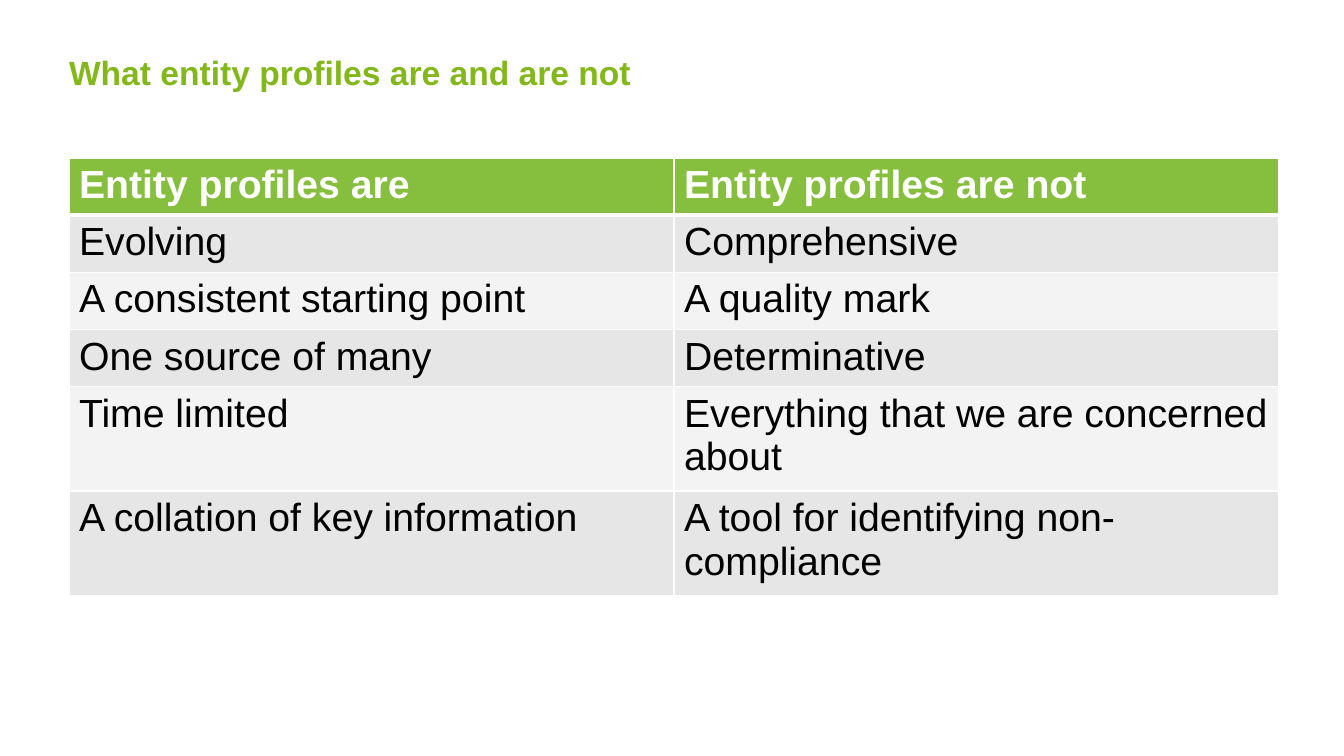
from pptx import Presentation
from pptx import util as u
from pptx.dml.color import RGBColor
from pptx.enum import text
from pptx.oxml import parse_xml
from pptx.oxml.ns import nsdecls

PX_PER_INCH = 100.8
WHITE, BLACK = "FFFFFF", "000000"
TITLE_GREEN, HEADER_GREEN = "83B81A", "86BE3D"
BANDS = ("E6E6E7", "F3F3F3")

ROWS = [
    ("Entity profiles are", "Entity profiles are not"),
    ("Evolving", "Comprehensive"),
    ("A consistent starting point", "A quality mark"),
    ("One source of many", "Determinative"),
    ("Time limited", "Everything that we are concerned about"),
    ("A collation of key information", "A tool for identifying non-compliance"),
]


def px(n):
    return u.Emu(round(n * 914400 / PX_PER_INCH))


def rgb(value):
    return RGBColor.from_string(value)


def write(tf, words, size, color, bold):
    r = tf.paragraphs[0].add_run()
    r.text = words
    for name, value in {"name": "Arial", "size": u.Pt(size), "bold": bold}.items():
        setattr(r.font, name, value)
    r.font.color.rgb = rgb(color)


def add_title(s, words, left, top, width, height):
    tf = s.shapes.add_textbox(*map(px, (left, top, width, height))).text_frame
    layout = {"word_wrap": True, "vertical_anchor": text.MSO_ANCHOR.TOP,
              "margin_left": 0, "margin_right": 0,
              "margin_top": px(8), "margin_bottom": px(4)}
    for name, value in layout.items():
        setattr(tf, name, value)
    write(tf, words, 24, TITLE_GREEN, True)


def set_borders(cell, widths):
    # Border lines come before the fill in the cell properties
    tcPr = cell._tc.get_or_add_tcPr()
    for i, (side, points) in enumerate(widths.items()):
        tcPr.insert(i, parse_xml(
            f'<a:ln{side} {nsdecls("a")} w="{u.Pt(points)}"><a:solidFill>'
            f'<a:srgbClr val="{WHITE}"/></a:solidFill></a:ln{side}>'))


def add_banded_table(s, rows, left, top, width, row_height):
    count, cols = len(rows), len(rows[0])
    table = s.shapes.add_table(count, cols, px(left), px(top), px(width),
                               px(row_height * count)).table
    for i, row in enumerate(rows):
        header = i == 0
        for j, words in enumerate(row):
            cell = table.cell(i, j)
            cell.fill.solid()
            cell.fill.fore_color.rgb = rgb(HEADER_GREEN if header else BANDS[(i - 1) % 2])
            set_borders(cell, {"L": 1, "R": 1, "T": 3 if i == 1 else 1,
                               "B": 3 if header else 1})
            write(cell.text_frame, words, 28, WHITE if header else BLACK, header)


def main():
    prs = Presentation()
    prs.slide_width, prs.slide_height = px(1344), px(756)
    s = prs.slides.add_slide(prs.slide_layouts[6])

    # Heading
    add_title(s, "What entity profiles are and are not", 69, 44, 932, 64)

    # Comparison; rows grow to fit their text
    add_banded_table(s, ROWS, 69, 158, 1210, 41)

    prs.save("out.pptx")


if __name__ == "__main__":
    main()
